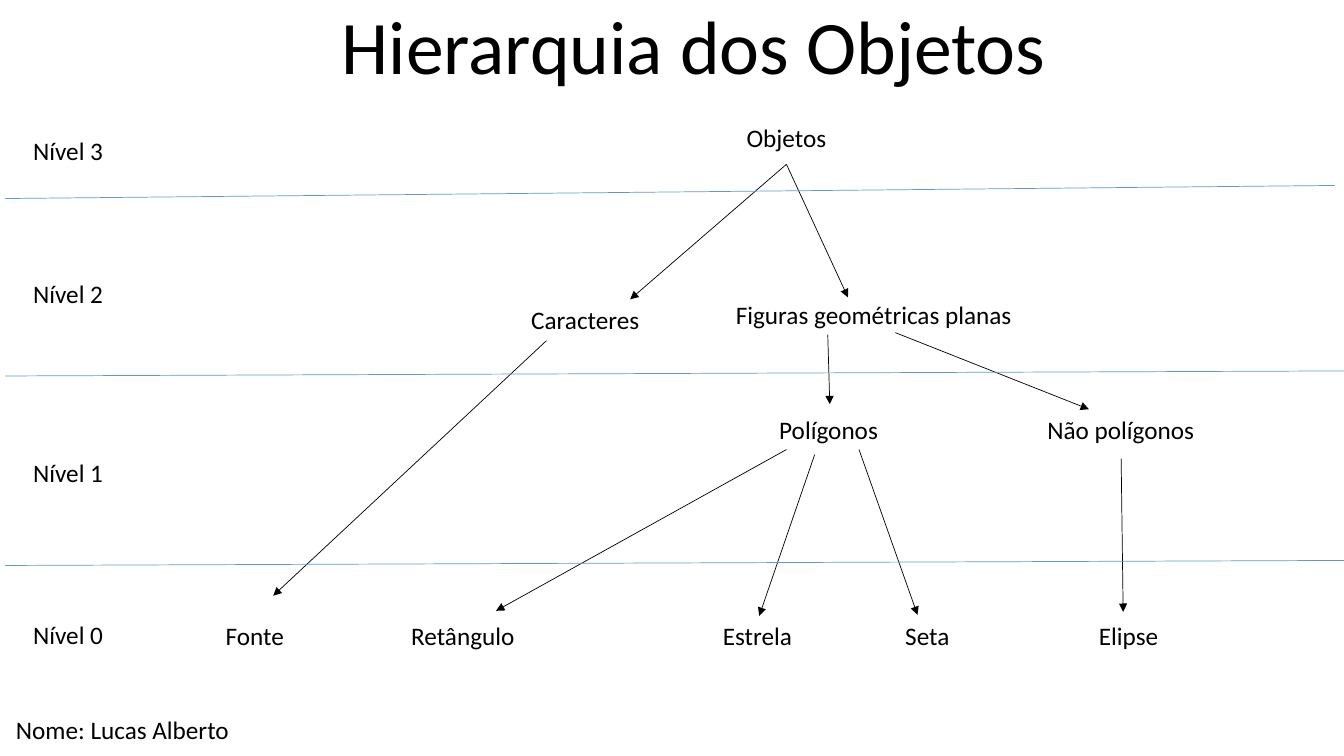
from pptx import Presentation
from pptx.dml.color import RGBColor
from pptx.enum.shapes import MSO_CONNECTOR
from pptx.enum.text import MSO_ANCHOR, MSO_AUTO_SIZE, PP_ALIGN
from pptx.oxml.ns import qn
from pptx.util import Inches, Pt
from lxml.etree import SubElement


def color(value):
    return RGBColor.from_string(value)


def write(frame, text, size=18, font="Calibri", fill="000000",
          align=PP_ALIGN.LEFT, anchor=MSO_ANCHOR.TOP, spacing=1.0):
    frame.word_wrap = True
    frame.vertical_anchor = anchor
    paragraph = frame.paragraphs[0]
    paragraph.alignment = align
    paragraph.line_spacing = spacing
    run = paragraph.add_run()
    run.text = text
    run.font.size = Pt(size)
    run.font.name = font
    run.font.color.rgb = color(fill)


class HierarchySlide:
    arrow_color = "000000"
    divider_color = "5B9BD5"
    line_width = 0.5
    label_height = 0.4

    def __init__(self, presentation):
        self.slide = presentation.slides.add_slide(presentation.slide_layouts[5])

    def title(self, text, left, top, width, height):
        shape = self.slide.shapes.title
        shape.left, shape.top = Inches(left), Inches(top)
        shape.width, shape.height = Inches(width), Inches(height)
        shape.text_frame.auto_size = MSO_AUTO_SIZE.NONE
        write(shape.text_frame, text, size=54, align=PP_ALIGN.CENTER,
              anchor=MSO_ANCHOR.BOTTOM, spacing=0.9)

    def label(self, text, left, top, width, align=PP_ALIGN.LEFT):
        shape = self.slide.shapes.add_textbox(
            Inches(left), Inches(top), Inches(width), Inches(self.label_height))
        shape.text_frame.auto_size = MSO_AUTO_SIZE.SHAPE_TO_FIT_TEXT
        write(shape.text_frame, text, align=align)

    def line(self, start, end, stroke):
        connector = self.slide.shapes.add_connector(
            MSO_CONNECTOR.STRAIGHT, *(Inches(value) for value in (*start, *end)))
        connector.line.color.rgb = color(stroke)
        connector.line.width = Pt(self.line_width)
        SubElement(connector._element.spPr, qn("a:effectLst"))
        return connector

    def divider(self, start, end):
        self.line(start, end, self.divider_color)

    def arrow(self, start, end):
        connector = self.line(start, end, self.arrow_color)
        SubElement(connector.line._get_or_add_ln(), qn("a:tailEnd"), type="triangle")


LEVELS = [("Nível 3", 1.29), ("Nível 2", 2.71), ("Nível 1", 4.49), ("Nível 0", 6.09)]

OBJECTS = [
    ("Caracteres", 5.17, 2.97, 1.48),
    ("Figuras geométricas planas", 7.2, 2.92, 2.96),
    ("Polígonos", 7.63, 4.06, 1.78),
    ("Não polígonos", 10.29, 4.06, 1.76),
    ("Fonte", 2.14, 6.1, 0.83),
    ("Retângulo", 3.98, 6.1, 1.28),
    ("Estrela", 7.07, 6.1, 0.92),
    ("Seta", 8.88, 6.1, 1.35),
    ("Elipse", 10.8, 6.1, 0.83),
]

ARROWS = [
    ((7.8, 1.63), (6.25, 2.97)),
    ((7.8, 1.63), (8.41, 2.95)),
    ((5.42, 3.38), (2.71, 5.91)),
    ((8.21, 3.32), (8.23, 4.01)),
    ((8.88, 3.3), (10.8, 4.06)),
    ((7.8, 4.46), (4.92, 6.06)),
    ((8.08, 4.51), (7.53, 6.11)),
    ((8.52, 4.46), (9.1, 6.1)),
    ((11.12, 4.55), (11.14, 6.07)),
]

DIVIDERS = [
    ((0.05, 1.97), (13.24, 1.84)),
    ((0.05, 3.73), (13.33, 3.68)),
    ((0.05, 5.61), (13.33, 5.56)),
]

presentation = Presentation()
presentation.slide_width = Inches(13.33)
presentation.slide_height = Inches(7.5)

hierarchy = HierarchySlide(presentation)
hierarchy.title("Hierarquia dos Objetos", 1.88, 0, 10, 0.95)
hierarchy.label("Objetos", 4.47, 1.16, 6.66, align=PP_ALIGN.CENTER)
for name, left, top, width in OBJECTS:
    hierarchy.label(name, left, top, width)
for name, top in LEVELS:
    hierarchy.label(name, 0.23, top, 1.6)
for start, end in ARROWS:
    hierarchy.arrow(start, end)
for start, end in DIVIDERS:
    hierarchy.divider(start, end)
hierarchy.label("Nome: Lucas Alberto", 0.06, 7.04, 2.66)

presentation.save("out.pptx")
